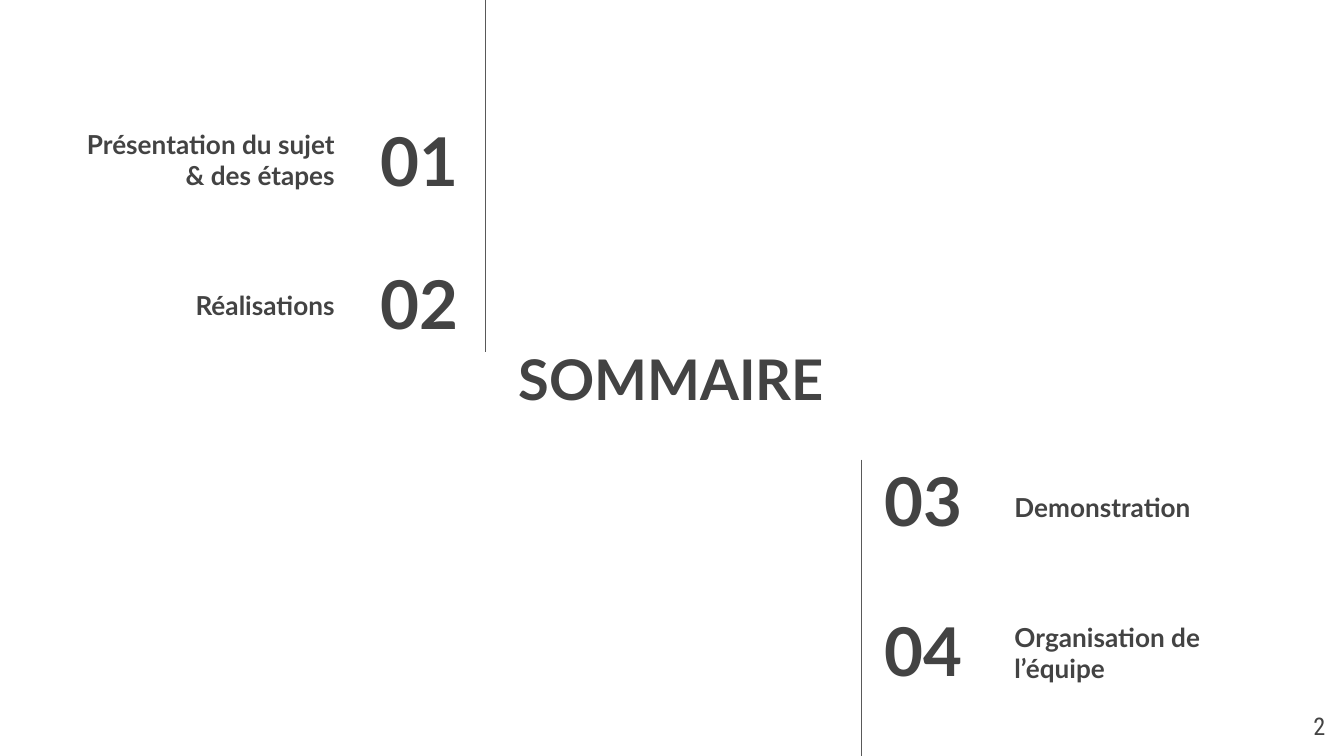
"""Build the table of contents slide."""
from lxml.etree import SubElement
from pptx import Presentation
from pptx.dml.color import RGBColor
from pptx.enum.shapes import MSO_CONNECTOR
from pptx.enum.text import MSO_ANCHOR, MSO_AUTO_SIZE, PP_ALIGN
from pptx.oxml.ns import qn
from pptx.util import Pt

DARK = RGBColor(0x43, 0x43, 0x43)
GREY = RGBColor(0x59, 0x59, 0x59)
WHITE = RGBColor(0xFF, 0xFF, 0xFF)
LEFT, MID, RIGHT = PP_ALIGN.LEFT, PP_ALIGN.CENTER, PP_ALIGN.RIGHT

TITLE = "SOMMAIRE"
PAGE = "2"
ITEMS = [
    ("01", "Présentation du sujet & des étapes", RIGHT, 62.6, 64.1),
    ("02", "Réalisations", RIGHT, 139.7, 133.9),
    ("03", "Demonstration", LEFT, 244.8, 241.9),
    ("04", "Organisation de l’équipe", LEFT, 325.4, 328.3),
]
SIDES = {RIGHT: (165.6, 31), LEFT: (466.6, 536.4)}
RULES = [(260, 0, 188.6), (461.5, 246.2, 405)]
NUM_W, TEXT_W, ROW_H = 87, 155.5, 45.4


def fill(box, text, size, align, anchor, font="Lato", bold=True):
    frame = box.text_frame
    frame.text = text
    frame.word_wrap = True
    frame.auto_size = MSO_AUTO_SIZE.NONE
    frame.vertical_anchor = anchor
    frame.margin_left = frame.margin_right = Pt(7.2)
    frame.margin_top = frame.margin_bottom = Pt(7.2)
    para = frame.paragraphs[0]
    para.alignment = align
    for run in para.runs:
        run.font.name = font
        run.font.size = Pt(size)
        run.font.bold = bold
        run.font.color.rgb = DARK


def add_text(slide, place, *style):
    fill(slide.shapes.add_textbox(*map(Pt, place)), *style)


def add_rule(slide, x, top, end):
    rule = slide.shapes.add_connector(
        MSO_CONNECTOR.STRAIGHT, Pt(x), Pt(top), Pt(x), Pt(end))
    rule.line.color.rgb = GREY
    rule.line.width = Pt(0.75)
    SubElement(rule._element.spPr, qn("a:effectLst"))


def main():
    deck = Presentation()
    deck.slide_width, deck.slide_height = Pt(720), Pt(405)
    slide = deck.slides.add_slide(deck.slide_layouts[5])
    slide.background.fill.solid()
    slide.background.fill.fore_color.rgb = WHITE

    title = slide.shapes.title
    title.left, title.top = Pt(266.4), Pt(165.6)
    title.width, title.height = Pt(186.5), Pt(74.2)
    fill(title, TITLE, 30, MID, MSO_ANCHOR.MIDDLE)

    for num, text, side, num_y, text_y in ITEMS:
        num_x, text_x = SIDES[side]
        add_text(slide, (num_x, num_y, NUM_W, ROW_H),
                 num, 36, side, MSO_ANCHOR.MIDDLE)
        add_text(slide, (text_x, text_y, TEXT_W, ROW_H),
                 text, 14, side, MSO_ANCHOR.BOTTOM)

    for rule in RULES:
        add_rule(slide, *rule)
    add_text(slide, (673.9, 373.7, 43.2, 31),
             PAGE, 13, RIGHT, MSO_ANCHOR.TOP, "Roboto Condensed", False)
    deck.save("out.pptx")


if __name__ == "__main__":
    main()
